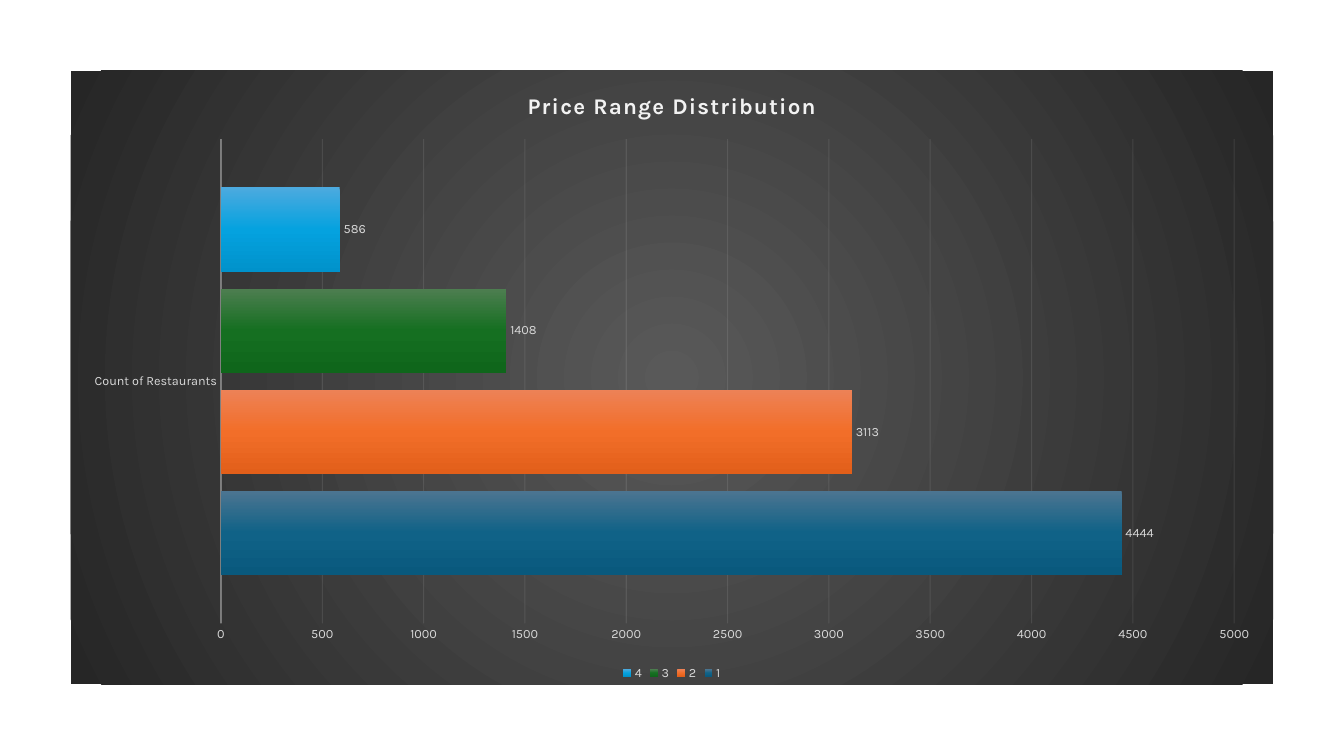
from dataclasses import dataclass

from lxml.etree import SubElement
from pptx import Presentation
from pptx.chart.data import CategoryChartData
from pptx.dml.color import RGBColor
from pptx.enum.chart import XL_CHART_TYPE as ChartType
from pptx.enum.chart import XL_LABEL_POSITION as LabelPosition
from pptx.enum.chart import XL_LEGEND_POSITION as LegendPosition
from pptx.enum.chart import XL_TICK_MARK as TickMark
from pptx.oxml import parse_xml
from pptx.oxml.ns import nsdecls, qn
from pptx.util import Pt

TITLE = "Price Range Distribution"
CATEGORY = "Count of Restaurants"
# price range, restaurants, gradient from top to bottom
PRICE_RANGES = [
    ("1", 4444, ("4C7591", "106287", "09597D")),
    ("2", 3113, ("ED8257", "F26E29", "E25F1A")),
    ("3", 1408, ("4D7E50", "156F21", "0F661B")),
    ("4", 586, ("4CAADF", "05A2DF", "0092CB")),
]


@dataclass(frozen=True)
class Theme:
    font: str = "Karla"
    title: str = "F2F2F2"
    text: str = "D9D9D9"
    line: str = "F2F2F2"
    backdrop: tuple = ("595959", "262626")
    title_size: int = 16
    text_size: int = 9


THEME = Theme()
LINEAR = '<a:lin ang="5400000" scaled="0"/>'
RADIAL = '<a:path path="circle"><a:fillToRect l="50000" t="50000" r="50000" b="50000"/></a:path>'


def gradient(colors, direction):
    """Return a gradient fill element with evenly spaced stops."""
    step = 100000 // (len(colors) - 1)
    stops = "".join(
        f'<a:gs pos="{index * step}"><a:srgbClr val="{color}"/></a:gs>'
        for index, color in enumerate(colors)
    )
    return parse_xml(
        f'<a:gradFill {nsdecls("a")} rotWithShape="1">'
        f"<a:gsLst>{stops}</a:gsLst>{direction}</a:gradFill>"
    )


def style_font(font, size=THEME.text_size, color=THEME.text, bold=False):
    font.name, font.size, font.bold = THEME.font, Pt(size), bold
    font.color.rgb = RGBColor.from_string(color)


def write_text(frame, text, spacing=0, **style):
    """Write one run; spacing is in hundredths of a point."""
    run = frame.paragraphs[0].add_run()
    run.text = text
    style_font(run.font, **style)
    run.font._element.set("spc", str(spacing))


def style_line(owner, parent, width, opacity):
    """Draw the owner's line; parent is the element that holds it."""
    line = owner.format.line
    line.width = Pt(width)
    line.color.rgb = RGBColor.from_string(THEME.line)
    for color in parent.xpath(".//a:ln//a:srgbClr"):
        SubElement(color, qn("a:alpha")).set("val", str(opacity * 1000))


def add_price_chart(slide):
    data = CategoryChartData(number_format="General")
    data.categories = [CATEGORY]
    for name, count, _ in PRICE_RANGES:
        data.add_series(name, [count])
    chart = slide.shapes.add_chart(
        ChartType.BAR_CLUSTERED, Pt(50.4), Pt(50.4), Pt(859), Pt(438.5), data
    ).chart
    style_font(chart.font)

    area = parse_xml(f'<c:spPr {nsdecls("c", "a")}><a:ln><a:noFill/></a:ln></c:spPr>')
    area.insert(0, gradient(THEME.backdrop, RADIAL))
    chart._chartSpace.find(qn("c:chart")).addnext(area)

    chart.has_title = True
    chart.chart_title.include_in_layout = False
    write_text(chart.chart_title.text_frame, TITLE, spacing=100,
               size=THEME.title_size, color=THEME.title, bold=True)
    chart.has_legend = True
    chart.legend.position = LegendPosition.BOTTOM
    chart.legend.include_in_layout = False
    style_font(chart.legend.font)
    return chart


def style_axes(chart):
    categories, counts = chart.category_axis, chart.value_axis
    for axis in (categories, counts):
        axis.major_tick_mark = axis.minor_tick_mark = TickMark.NONE
        style_font(axis.tick_labels.font)
    style_line(categories, categories._element, width=1, opacity=54)
    counts.minimum_scale, counts.maximum_scale, counts.major_unit = 0, 5000, 500
    counts.format.line.fill.background()
    counts.has_major_gridlines = True
    style_line(counts.major_gridlines, counts._element, width=0.75, opacity=10)


def style_bars(chart):
    plot = chart.plots[0]
    plot.gap_width, plot.overlap, plot.vary_by_categories = 115, -20, False
    for series, (_, _, colors) in zip(plot.series, PRICE_RANGES):
        series.invert_if_negative = False
        series._element.get_or_add_spPr().insert(0, gradient(colors, LINEAR))
        labels = series.data_labels
        labels.show_value = True
        labels.position = LabelPosition.OUTSIDE_END
        style_font(labels.font)


def main():
    deck = Presentation()
    deck.slide_width, deck.slide_height = Pt(960), Pt(540)
    slide = deck.slides.add_slide(deck.slide_layouts[6])
    chart = add_price_chart(slide)
    style_axes(chart)
    style_bars(chart)
    deck.save("out.pptx")


if __name__ == "__main__":
    main()
